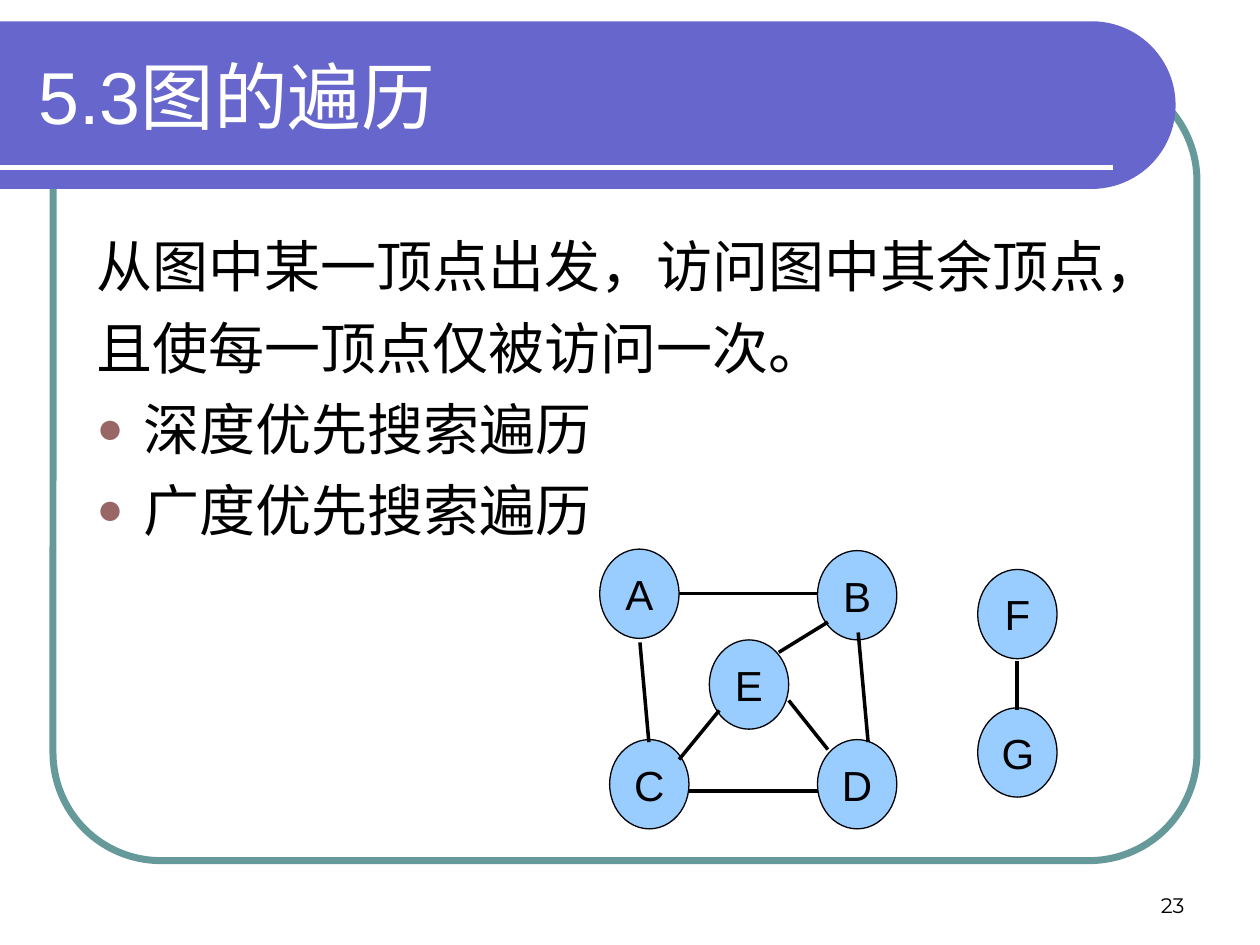
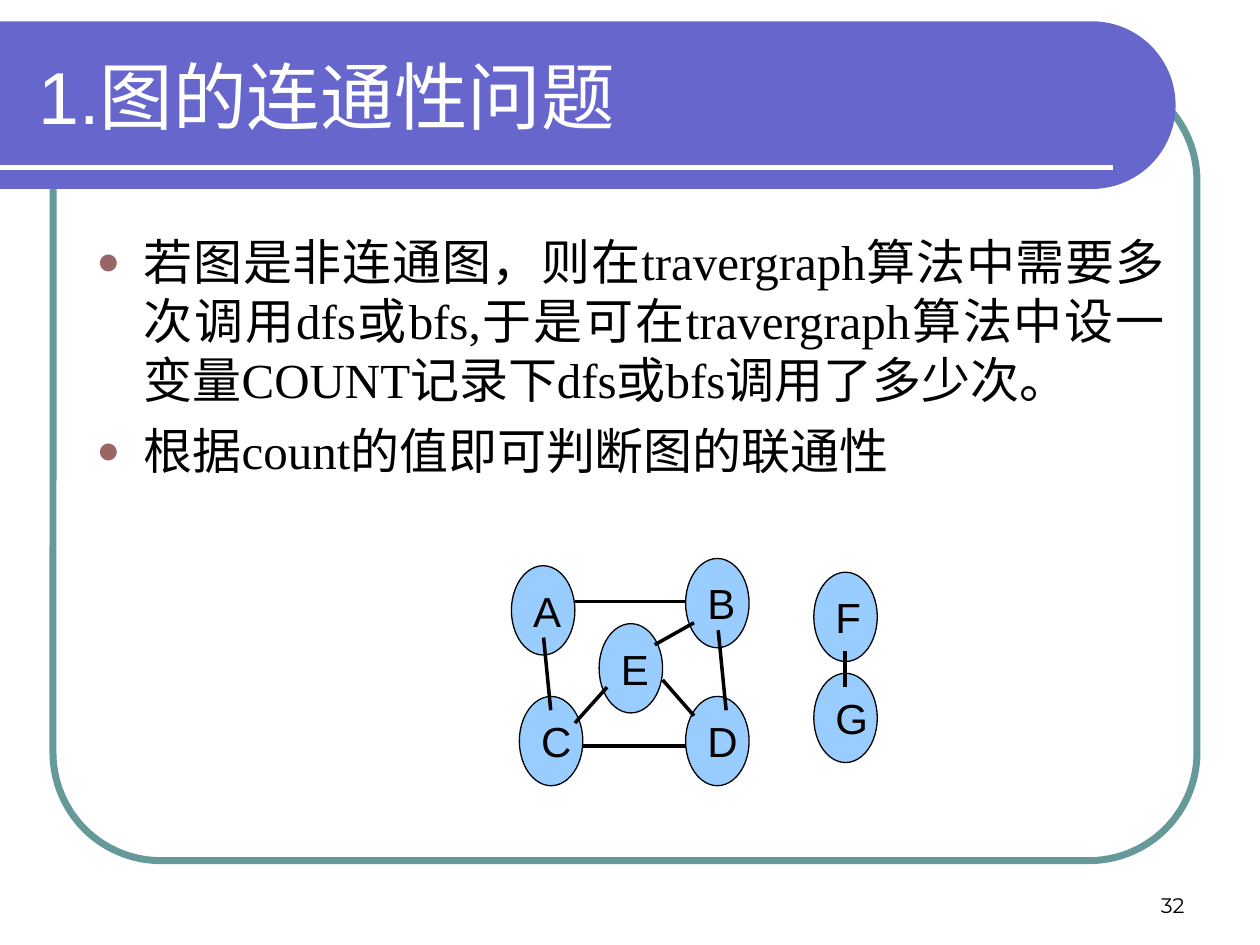
import math
from dataclasses import dataclass

import lxml.etree
import pptx
import pptx.dml.color
import pptx.enum.shapes
import pptx.enum.text
import pptx.oxml.ns
import pptx.util

Cm = pptx.util.Cm
Pt = pptx.util.Pt
Align = pptx.enum.text.PP_ALIGN
Anchor = pptx.enum.text.MSO_ANCHOR
Preset = pptx.enum.shapes.MSO_SHAPE


@dataclass(frozen=True)
class Theme:
    band: str = "6666CC"
    frame: str = "669999"
    bullet: str = "996666"
    vertex: str = "99CCFF"
    ink: str = "000000"
    paper: str = "FFFFFF"
    sans: str = "Arial"
    serif: str = "Times New Roman"
    han: str = "Noto Sans CJK SC"
    number_font: str = "Montserrat"
    title_size: float = 42
    vertex_size: float = 24
    number_size: float = 12
    line_ratio: float = 1.2


THEME = Theme()

FRAME_BOX = (1.07, 1.47, 23.06, 15.88)
BAND_BOX = (0, 0.43, 23.7, 3.38)
TITLE_BOX = (0.53, 0.64, 22.28, 2.54)
BODY_BOX = (1.7, 4.55, 22.02, 12.27)
NUMBER_BOX = (18.21, 17.35, 5.92, 1.27)

VERTEX_WIDTH = 1.6
VERTEX_HEIGHT = 1.8
VERTICES = {
    "A": (0.8, 0.9),
    "B": (5.19, 0.93),
    "C": (1, 4.74),
    "D": (5.19, 4.74),
    "E": (3.01, 2.73),
    "F": (8.42, 1.31),
    "G": (8.42, 4.1),
}
EDGES = {
    "BD": (5.21, 1.68, 5.41, 3.89),
    "AB": (1.6, 0.89, 4.39, 0.89),
    "AC": (0.81, 1.88, 0.99, 3.89),
    "CD": (1.8, 4.88, 4.39, 4.88),
    "BE": (4.6, 1.47, 3.61, 2.08),
    "EC": (2.41, 3.25, 1.6, 4.24),
    "ED": (3.81, 3.05, 4.6, 4.04),
    "FG": (8.41, 2.26, 8.41, 3.25),
}


def lengths(values):
    return [Cm(value) for value in values]


def color(code):
    return pptx.dml.color.RGBColor.from_string(code)


def add_element(parent, tag, **attributes):
    return lxml.etree.SubElement(parent, pptx.oxml.ns.qn(tag), attributes)


def paint(shape, fill, line=None, width=0.75):
    shape.shadow.inherit = False
    if fill:
        shape.fill.solid()
        shape.fill.fore_color.rgb = color(fill)
    else:
        shape.fill.background()
    if line:
        shape.line.color.rgb = color(line)
        shape.line.width = Pt(width)
    else:
        shape.line.fill.background()


def add_line(page, ends, code, width):
    line = page.shapes.add_connector(
        pptx.enum.shapes.MSO_CONNECTOR.STRAIGHT, *lengths(ends))
    line.line.color.rgb = color(code)
    line.line.width = Pt(width)
    add_element(line.element.spPr, "a:effectLst")


def add_span(para, text, font, size, code):
    span = para.add_run()
    span.text = text
    span.font.name = font
    span.font.size = Pt(size)
    span.font.color.rgb = color(code)
    add_element(span.font._element, "a:ea", typeface=THEME.han)


def add_text_box(page, place, anchor):
    box = page.shapes.add_textbox(*lengths(place))
    box.text_frame.word_wrap = True
    box.text_frame.vertical_anchor = anchor
    return box.text_frame


def add_label(page, place, anchor, align, text, font, size, code):
    para = add_text_box(page, place, anchor).paragraphs[0]
    para.alignment = align
    add_span(para, text, font, size, code)


def add_bullet(para):
    properties = para._p.get_or_add_pPr()
    properties.set("marL", str(Cm(0.95)))
    properties.set("indent", str(Cm(-0.95)))
    tint = add_element(properties, "a:buClr")
    add_element(tint, "a:srgbClr", val=THEME.bullet)
    add_element(properties, "a:buSzPct", val="80000")
    add_element(properties, "a:buFont", typeface=THEME.sans)
    add_element(properties, "a:buChar", char="●")


def draw_frame(page, place):
    frame = page.shapes.add_shape(Preset.ROUNDED_RECTANGLE, *lengths(place))
    frame.adjustments[0] = 0.137
    paint(frame, None, THEME.frame, 4)


def draw_band(page, place):
    left, top, width, height = place
    radius = height / 2
    center = left + width - radius
    steps = 48
    angles = [math.pi * (step / steps - 0.5) for step in range(steps + 1)]
    curve = [(Cm(center + radius * math.cos(angle)),
              Cm(top + radius + radius * math.sin(angle))) for angle in angles]
    builder = page.shapes.build_freeform(Cm(left), Cm(top))
    builder.add_line_segments(curve + [(Cm(left), Cm(top + height))], close=True)
    paint(builder.convert_to_shape(), THEME.band)
    rule_top = top + height - 0.43
    add_line(page, (left, rule_top, left + width - 1.27, rule_top), THEME.paper, 3)


def draw_body(page, place, paragraphs, size, align):
    frame = add_text_box(page, place, Anchor.TOP)
    for index, (bulleted, spans) in enumerate(paragraphs):
        para = frame.paragraphs[0] if index == 0 else frame.add_paragraph()
        para.alignment = align
        para.line_spacing = Pt(round(size * THEME.line_ratio, 1))
        if index:
            para.space_before = Pt(size / 4)
        if bulleted:
            add_bullet(para)
        for text, font in spans:
            add_span(para, text, font, size, THEME.ink)


def draw_graph(page, left, top, scale_x=1, scale_y=1, vertices=VERTICES):
    width = VERTEX_WIDTH * scale_x
    for name, (x, y) in vertices.items():
        place = (left + x * scale_x - width / 2,
                 top + y * scale_y - VERTEX_HEIGHT / 2, width, VERTEX_HEIGHT)
        vertex = page.shapes.add_shape(Preset.OVAL, *lengths(place))
        paint(vertex, THEME.vertex, THEME.ink)
        vertex.text_frame.word_wrap = True
        vertex.text_frame.vertical_anchor = Anchor.MIDDLE
        para = vertex.text_frame.paragraphs[0]
        para.alignment = Align.CENTER
        add_span(para, name, THEME.sans, THEME.vertex_size, THEME.ink)
    for x1, y1, x2, y2 in EDGES.values():
        ends = (left + x1 * scale_x, top + y1 * scale_y,
                left + x2 * scale_x, top + y2 * scale_y)
        add_line(page, ends, THEME.ink, 2)


def add_page(deck, title, number):
    page = deck.slides.add_slide(deck.slide_layouts[6])
    draw_frame(page, FRAME_BOX)
    draw_band(page, BAND_BOX)
    add_label(page, TITLE_BOX, Anchor.MIDDLE, Align.LEFT, title,
              THEME.sans, THEME.title_size, THEME.paper)
    add_label(page, NUMBER_BOX, Anchor.BOTTOM, Align.RIGHT, number,
              THEME.number_font, THEME.number_size, THEME.ink)
    return page


def build_traversal(deck):
    page = add_page(deck, "5.3图的遍历", "23")
    paragraphs = [
        (False, [("从图中某一顶点出发，访问图中其余顶点，", THEME.sans)]),
        (False, [("且使每一顶点仅被访问一次。", THEME.sans)]),
        (True, [("深度优先搜索遍历", THEME.sans)]),
        (True, [("广度优先搜索遍历", THEME.sans)]),
    ]
    draw_body(page, BODY_BOX, paragraphs, 32, Align.LEFT)
    draw_graph(page, 12.09, 11.07)


def build_connectivity(deck):
    page = add_page(deck, "1.图的连通性问题", "32")
    paragraphs = [
        (True, [
            ("若图是非连通图，则在", THEME.han),
            ("travergraph算法中需要多次调用dfs或bfs,于是可在travergraph算法中"
             "设一变量COUNT记录下dfs或bfs调用了多少次。", THEME.serif),
        ]),
        (True, [("根据count的值即可判断图的联通性", THEME.serif)]),
    ]
    draw_body(page, BODY_BOX, paragraphs, 28, Align.JUSTIFY)
    draw_graph(page, 10.31, 11.48, 0.8, 0.73, {**VERTICES, "A": (0.8, 1.13)})


def main():
    deck = pptx.Presentation()
    deck.slide_width = Cm(25.4)
    deck.slide_height = Cm(19.05)
    build_traversal(deck)
    build_connectivity(deck)
    deck.save("out.pptx")


if __name__ == "__main__":
    main()
